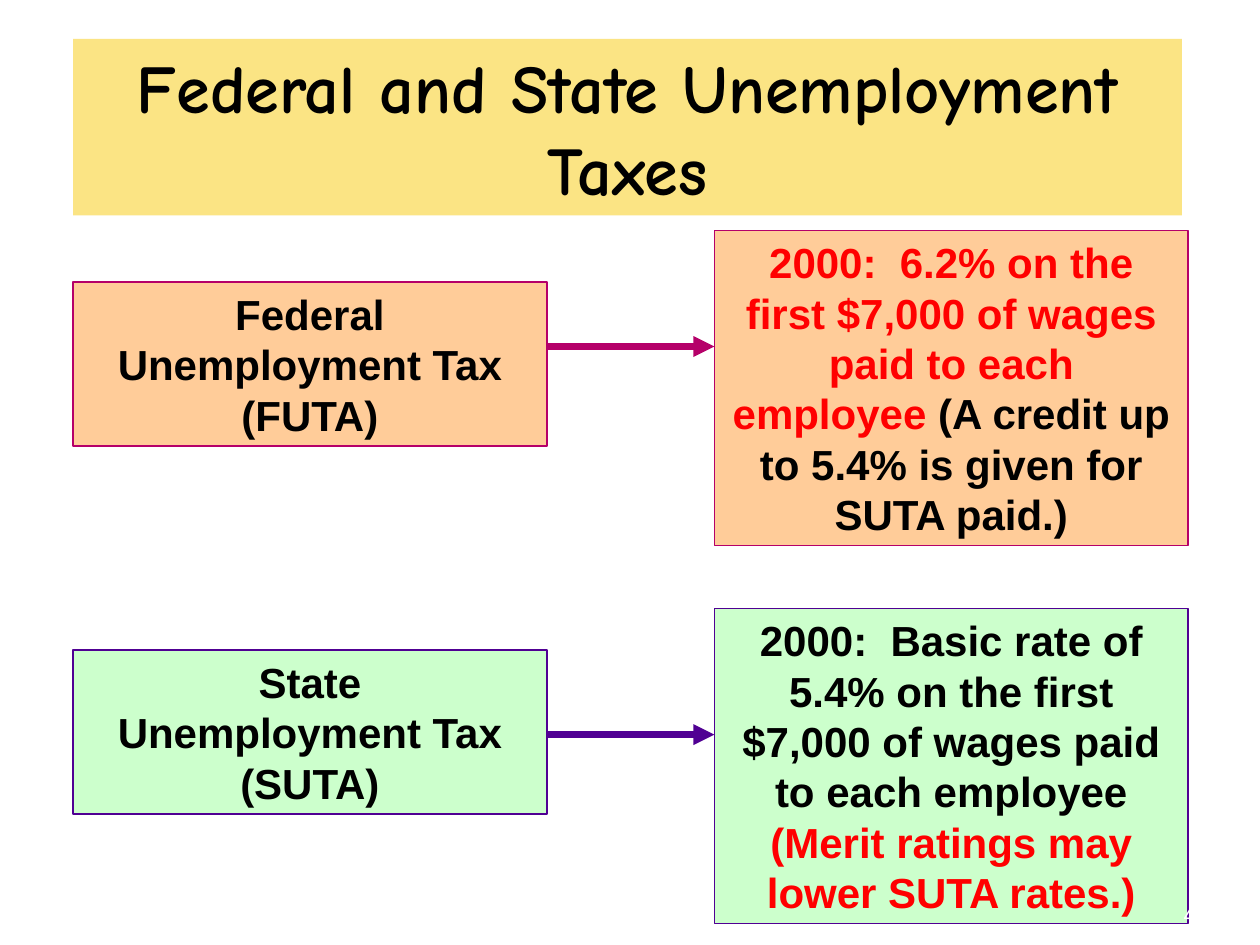
import pptx
import pptx.dml.color
import pptx.enum.shapes
import pptx.enum.text
import pptx.oxml.ns
import pptx.util
from dataclasses import dataclass
from lxml import etree

Inches = pptx.util.Inches
Pt = pptx.util.Pt
Align = pptx.enum.text.PP_ALIGN
Anchor = pptx.enum.text.MSO_ANCHOR
qn = pptx.oxml.ns.qn


@dataclass(frozen=True)
class Theme:
    black: str = "000000"
    red: str = "FF0000"
    white: str = "FFFFFF"
    banner: str = "F8CB0A"
    federal_fill: str = "FFCC99"
    federal_line: str = "B50069"
    state_fill: str = "CCFFCC"
    state_line: str = "500093"
    title_font: str = "Comic Neue"
    body_font: str = "Arial"
    title_size: int = 39
    body_size: int = 24
    number_size: int = 14
    leading: float = 1.2


def rgb(color):
    return pptx.dml.color.RGBColor.from_string(color)


class SlideBuilder:
    def __init__(self, page, theme):
        self.page = page
        self.theme = theme

    def set_text(self, box, spans, font, size, align=Align.CENTER,
                 anchor=Anchor.TOP, bold=True):
        """Fill a box with one paragraph made of (text, colour) spans."""
        frame = box.text_frame
        frame.word_wrap = True
        frame.vertical_anchor = anchor
        para = frame.paragraphs[0]
        para.alignment = align
        para.line_spacing = Pt(size * self.theme.leading)
        para.font.name = font
        para.font.size = Pt(size)
        para.font.bold = bold
        for text, color in spans:
            # A newline inside a span is a line break
            for part, line in enumerate(text.split("\n")):
                if part:
                    para.add_line_break()
                span = para.add_run()
                span.text = line
                span.font.color.rgb = rgb(color)

    def rectangle(self, left, top, width, height, fill, line=None):
        box = self.page.shapes.add_shape(
            pptx.enum.shapes.MSO_SHAPE.RECTANGLE,
            Inches(left), Inches(top), Inches(width), Inches(height))
        box.shadow.inherit = False
        box.fill.solid()
        box.fill.fore_color.rgb = rgb(fill)
        if line:
            box.line.color.rgb = rgb(line)
            box.line.width = Pt(1)
        else:
            box.line.fill.background()
        return box

    def label(self, left, top, width, height, fill, line, spans):
        box = self.rectangle(left, top, width, height, fill, line)
        self.set_text(box, spans, self.theme.body_font, self.theme.body_size)

    def title(self, left, top, width, height, text):
        box = self.rectangle(left, top, width, height, self.theme.banner)
        color = box._element.spPr.find(qn("a:solidFill")).find(qn("a:srgbClr"))
        etree.SubElement(color, qn("a:alpha"), val="50000")
        self.set_text(box, [(text, self.theme.black)], self.theme.title_font,
                      self.theme.title_size, anchor=Anchor.MIDDLE)

    def arrow(self, start, end, y, color):
        arrow = self.page.shapes.add_connector(
            pptx.enum.shapes.MSO_CONNECTOR.STRAIGHT,
            Inches(start), Inches(y), Inches(end), Inches(y))
        arrow.line.color.rgb = rgb(color)
        arrow.line.width = Pt(4)
        properties = arrow._element.spPr
        etree.SubElement(properties.find(qn("a:ln")), qn("a:tailEnd"),
                         type="triangle")
        etree.SubElement(properties, qn("a:effectLst"))

    def page_number(self, left, top, width, height, text):
        box = self.page.shapes.add_textbox(
            Inches(left), Inches(top), Inches(width), Inches(height))
        self.set_text(box, [(text, self.theme.white)], self.theme.title_font,
                      self.theme.number_size, Align.RIGHT, Anchor.BOTTOM,
                      False)


def main():
    deck = pptx.Presentation()
    deck.slide_width, deck.slide_height = Inches(10), Inches(7.5)
    theme = Theme()
    builder = SlideBuilder(deck.slides.add_slide(deck.slide_layouts[6]), theme)

    # Each tax: rate box, arrow, name box
    name_left, rate_left, box_width = 0.58, 5.67, 3.76
    name_height, rate_height = 1.3, 2.5
    taxes = [
        (2.24, 1.83, 2.75, theme.federal_fill, theme.federal_line,
         "Federal Unemployment Tax (FUTA)",
         [("2000:  6.2% on the first $7,000 of wages paid to each employee ",
           theme.red),
          ("(A credit up to 5.4% is given for SUTA paid.)", theme.black)]),
        (5.16, 4.83, 5.83, theme.state_fill, theme.state_line,
         "State\nUnemployment Tax (SUTA)",
         [("2000:  Basic rate of 5.4% on the first $7,000 of wages paid "
           "to each employee ", theme.black),
          ("(Merit ratings may lower SUTA rates.)", theme.red)]),
    ]
    for name_top, rate_top, arrow_y, fill, line, name, rate in taxes:
        builder.label(rate_left, rate_top, box_width, rate_height,
                      fill, line, rate)
        builder.arrow(4.26, rate_left, arrow_y, line)
        builder.label(name_left, name_top, box_width, name_height,
                      fill, line, [(name, theme.black)])

    # Title banner and page number
    builder.title(name_left, 0.31, 8.8, 1.4,
                  "Federal and State Unemployment Taxes")
    builder.page_number(7.58, 6.92, 2.08, 0.5, "41")

    deck.save("out.pptx")


if __name__ == "__main__":
    main()
